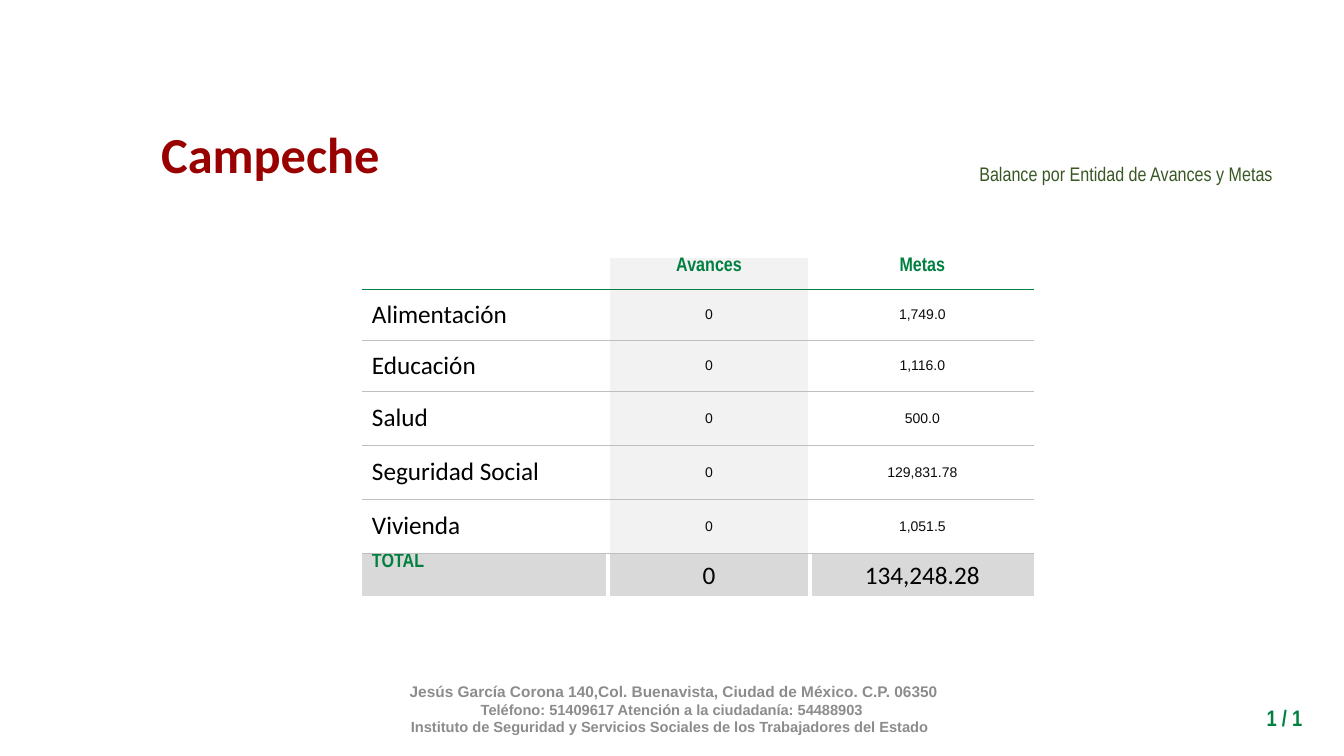
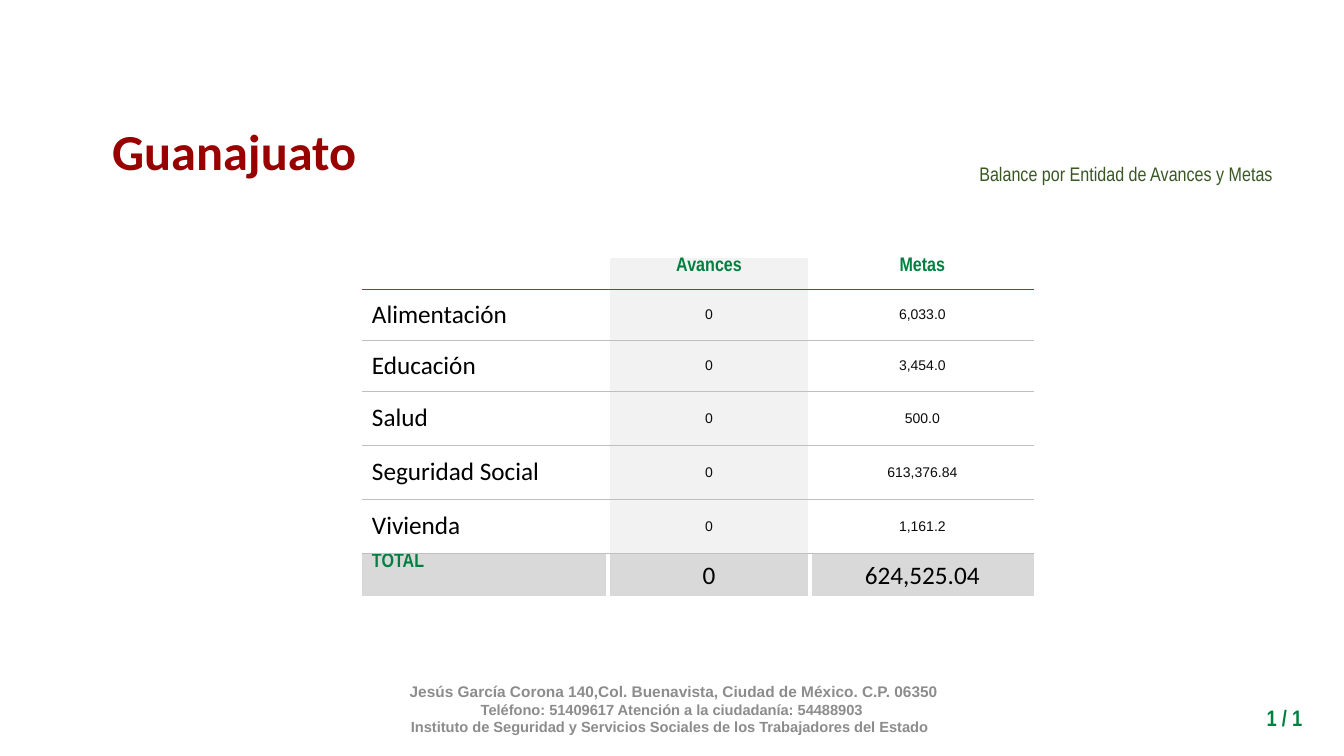
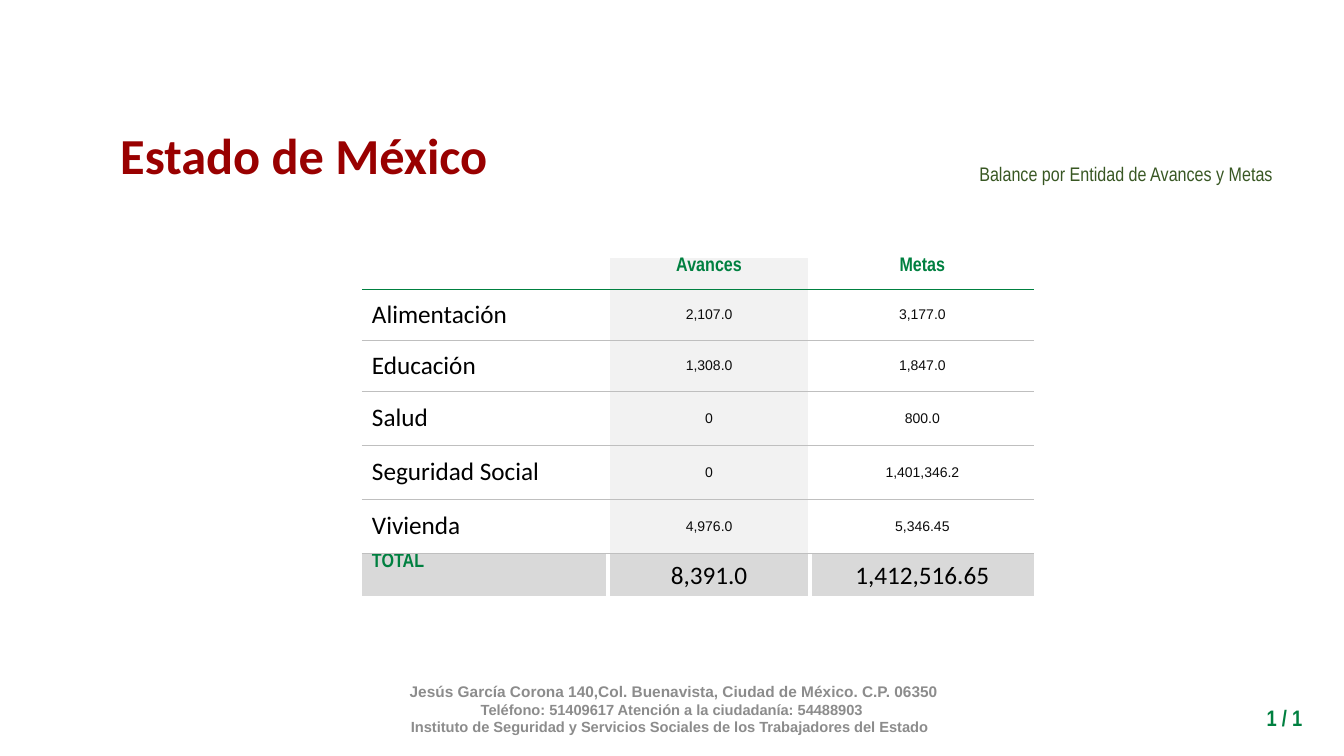
from lxml import etree
from pptx import Presentation
from pptx.dml.color import RGBColor
from pptx.enum.text import MSO_ANCHOR, MSO_AUTO_SIZE, PP_ALIGN
from pptx.oxml.ns import qn
from pptx.util import Cm, Pt

LEFT, CENTER, RIGHT = PP_ALIGN.LEFT, PP_ALIGN.CENTER, PP_ALIGN.RIGHT
TOP, MIDDLE = MSO_ANCHOR.TOP, MSO_ANCHOR.MIDDLE
FIT_SHAPE = MSO_AUTO_SIZE.SHAPE_TO_FIT_TEXT

# Shared colours and text styles
GREEN, WHITE, RULE_GRAY = "008040", "FFFFFF", "BFBFBF"
COLUMN_GRAY, TOTAL_GRAY = "F2F2F2", "D9D9D9"


def style(name, size, colour, bold=False):
    return {"font": {"name": name, "size": Pt(size), "bold": bold}, "colour": colour}


TITLE = style("Calibri", 36, "990000", True)
SUBTITLE = style("Arial Narrow", 14, "385723")
PAGE = style("Arial Narrow", 16, GREEN, True)
ADDRESS = style("Arial", 11, "8C8C8C", True)
CONTACT = style("Arial", 10.5, "8C8C8C", True)
HEADING = style("Arial Narrow", 14, GREEN, True)
CATEGORY = style("Calibri", 18, "000000")
FIGURE = style("Arial", 10, "0B0B0B")

FOOTER_LINES = [
    (" Jesús García Corona 140,Col. Buenavista, Ciudad de México. C.P. 06350", ADDRESS),
    ("Teléfono: 51409617 Atención a la ciudadanía: 54488903", CONTACT),
    ("Instituto de Seguridad y Servicios Sociales de los Trabajadores del Estado ", CONTACT),
]

# Table layout in cm; border weights in points
COLUMN_WIDTHS = [6.2, 5.1, 5.65]
ROW_HEIGHTS = [0.79, 1.29, 1.29, 1.36, 1.36, 1.36, 1.13]
HEADER_RULE, ROW_RULE, GAP = (GREEN, 0.25), (RULE_GRAY, 0.5), (WHITE, 3)
CATEGORIES = ["Alimentación", "Educación", "Salud", "Seguridad Social", "Vivienda"]

# State, title box (left, top, width, height in cm), avances, metas
STATES = [
    ("Campeche", (3.78, 2.97, 6.07, 1.8), [0, 0, 0, 0, 0],
     [1749.0, 1116.0, 500.0, 129831.78, 1051.5]),
    ("Guanajuato", (2.54, 2.9, 6.73, 1.8), [0, 0, 0, 0, 0],
     [6033.0, 3454.0, 500.0, 613376.84, 1161.2]),
    ("Estado de México", (2.72, 3, 9.88, 1.8), [2107.0, 1308.0, 0, 0, 4976.0],
     [3177.0, 1847.0, 800.0, 1401346.2, 5346.45]),
]


def rgb(colour):
    return RGBColor.from_string(colour)


def set_values(target, values):
    for attribute, value in values.items():
        setattr(target, attribute, value)


def write(paragraph, text, text_style, align):
    paragraph.alignment = align
    run = paragraph.add_run()
    run.text = text
    set_values(run.font, text_style["font"])
    run.font.color.rgb = rgb(text_style["colour"])
    return run


def add_text(slide, box, lines, align, **frame_values):
    textbox = slide.shapes.add_textbox(*map(Cm, box))
    frame = textbox.text_frame
    set_values(frame, {"word_wrap": True, **frame_values})
    for index, (text, text_style) in enumerate(lines):
        paragraph = frame.add_paragraph() if index else frame.paragraphs[0]
        write(paragraph, text, text_style, align)
    return textbox


def add_line(parent, tag, colour, points):
    line = etree.SubElement(parent, qn(tag), w=str(int(Pt(points))))
    fill = etree.SubElement(line, qn("a:solidFill"))
    etree.SubElement(fill, qn("a:srgbClr"), val=colour)
    return line


def set_borders(cell, row, column, last_row, last_column):
    rules = [None, HEADER_RULE] + [ROW_RULE] * (last_row - 1) + [GAP]
    borders = {
        "a:lnL": GAP if column else None,
        "a:lnR": GAP if column < last_column else None,
        "a:lnT": rules[row],
        "a:lnB": rules[row + 1],
    }
    properties = cell._tc.get_or_add_tcPr()
    for tag, border in borders.items():
        if border:
            add_line(properties, tag, *border)
        else:
            etree.SubElement(etree.SubElement(properties, qn(tag)), qn("a:noFill"))


def set_fill(cell, row, column, last_row):
    colour = TOTAL_GRAY if row == last_row else COLUMN_GRAY if column == 1 else None
    if colour:
        cell.fill.solid()
        cell.fill.fore_color.rgb = rgb(colour)
    else:
        cell.fill.background()


def figure(value):
    return f"{round(value, 2):,}"


def add_balance_table(slide, avances, metas):
    figures = list(zip(CATEGORIES, map(figure, avances), map(figure, metas)))
    totals = ("TOTAL", figure(sum(avances)), figure(sum(metas)))
    rows = [("", "Avances", "Metas"), *figures, totals]
    last_row, last_column = len(rows) - 1, len(COLUMN_WIDTHS) - 1
    table = slide.shapes.add_table(
        len(rows), len(COLUMN_WIDTHS), Cm(9.12), Cm(6.49),
        Cm(sum(COLUMN_WIDTHS)), Cm(sum(ROW_HEIGHTS))).table
    set_values(table, {"first_row": False, "horz_banding": False})
    for column, width in zip(table.columns, COLUMN_WIDTHS):
        column.width = Cm(width)

    for r, texts in enumerate(rows):
        table.rows[r].height = Cm(ROW_HEIGHTS[r])
        for c, text in enumerate(texts):
            cell = table.cell(r, c)
            is_heading = r == 0 or (r == last_row and c == 0)
            if is_heading:
                text_style = HEADING
                layout = {"vertical_anchor": TOP, "margin_top": 0, "margin_bottom": 0}
            else:
                text_style = CATEGORY if c == 0 or r == last_row else FIGURE
                layout = {"vertical_anchor": MIDDLE}
                if c == last_column:
                    layout.update(margin_left=Cm(0.02), margin_right=Cm(0.02),
                                  margin_top=Cm(0.02), margin_bottom=0)
            set_values(cell, layout)
            set_borders(cell, r, c, last_row, last_column)
            set_fill(cell, r, c, last_row)
            if text:
                write(cell.text_frame.paragraphs[0], text, text_style,
                      CENTER if c else LEFT)


def add_title(slide, state, box):
    title = add_text(slide, box, [(state, TITLE)], CENTER,
                     word_wrap=False, auto_size=FIT_SHAPE)
    # White outline around the letters goes first in the run properties
    properties = title.text_frame.paragraphs[0].runs[0].font._element
    properties.insert(0, add_line(properties, "a:ln", WHITE, 0.75))


def add_state_slide(prs, layout, state, title_box, avances, metas):
    slide = prs.slides.add_slide(layout)
    add_balance_table(slide, avances, metas)
    subtitle = add_text(slide, (17, 3.12, 15.33, 2.41),
                        [("Balance por Entidad de Avances y Metas", SUBTITLE)],
                        RIGHT, vertical_anchor=MIDDLE)
    subtitle.text_frame.paragraphs[0].line_spacing = 1.15
    add_text(slide, (29.87, 17.63, 3.2, 0.94), [("1 / 1", PAGE)], RIGHT,
             auto_size=FIT_SHAPE)
    add_title(slide, state, title_box)
    return slide


def main():
    prs = Presentation()
    set_values(prs, {"slide_width": Cm(33.87), "slide_height": Cm(19.05)})
    layout = prs.slide_layouts[6]
    slides = [add_state_slide(prs, layout, *state) for state in STATES]

    # The footer is moved to the layout, so that all slides share it
    footer = add_text(slides[0], (7.32, 17.58, 19.23, 1.02), FOOTER_LINES, CENTER,
                      vertical_anchor=MIDDLE, margin_bottom=Cm(0.58))
    layout.shapes.element.append(footer.element)
    prs.save("out.pptx")


if __name__ == "__main__":
    main()
